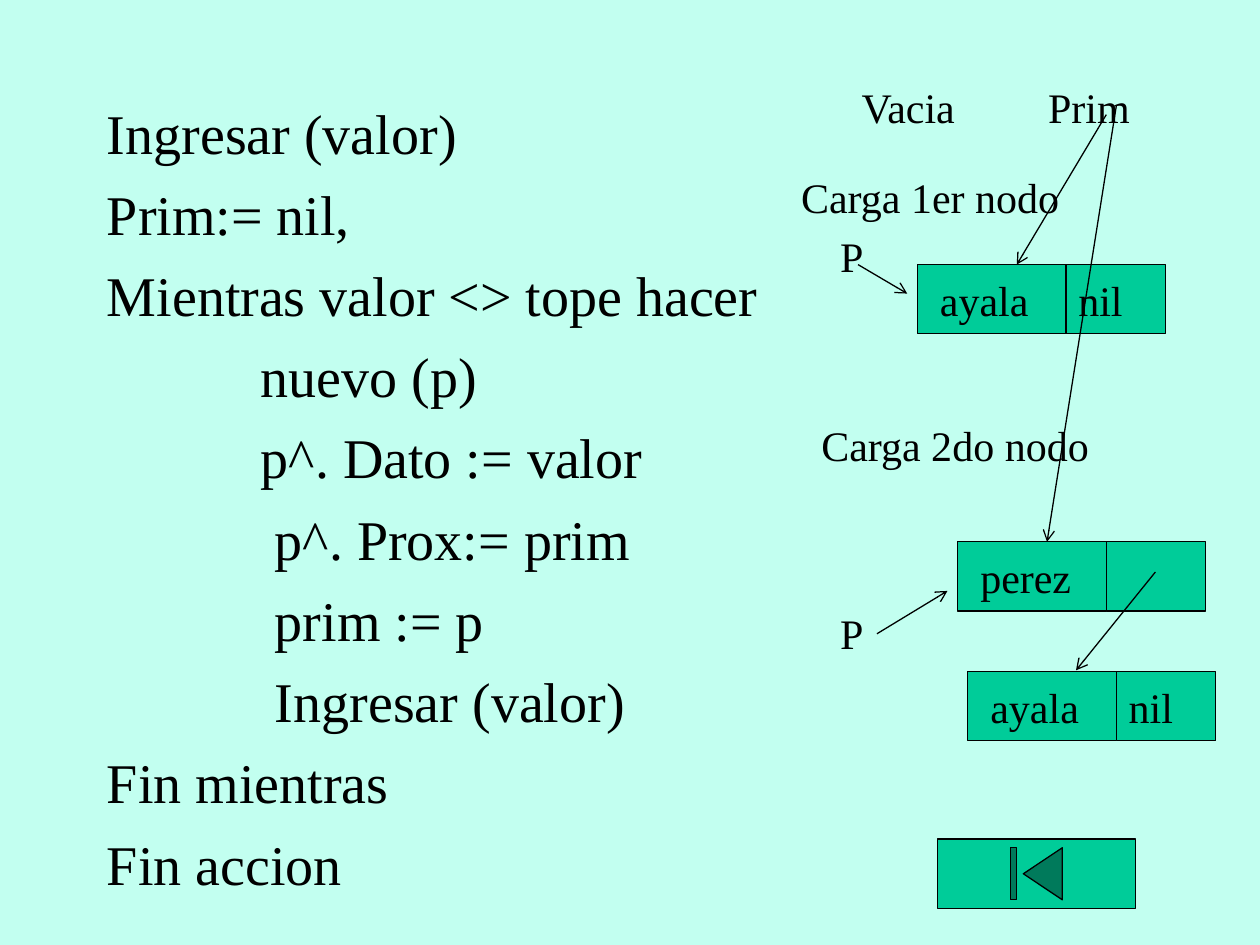
from dataclasses import dataclass

from lxml.etree import SubElement
from pptx import Presentation
from pptx.dml.color import RGBColor
from pptx.enum.shapes import MSO_CONNECTOR as Connector, MSO_SHAPE as Shape
from pptx.enum.text import MSO_ANCHOR as Anchor, PP_ALIGN as Align
from pptx.oxml.ns import qn
from pptx.util import Emu, Pt

EMU_PER_PX = 9144  # 100 px to the inch
FONT = "Times New Roman"
BLACK = RGBColor(0x00, 0x00, 0x00)
GREEN = RGBColor(0x00, 0xCC, 0x99)
MINT = RGBColor(0xC2, 0xFF, 0xF0)
CELL_HEIGHT, DATA_WIDTH, LINK_WIDTH = 55, 118, 79

CODE = [
    "Ingresar (valor)",
    "Prim:= nil,",
    "Mientras valor <> tope hacer",
    "           nuevo (p)",
    "           p^. Dato := valor",
    "            p^. Prox:= prim",
    "            prim := p",
    "            Ingresar (valor)",
    "Fin mientras",
    "Fin accion",
]


@dataclass
class Node:
    left: int
    top: int
    data: str
    link: str


@dataclass
class Label:
    left: int
    top: int
    width: int
    height: int
    text: str
    wrap: bool = False
    tab: int = 0


@dataclass
class Arrow:
    x1: int
    y1: int
    x2: int
    y2: int


NODES = [
    Node(768, 533, "ayala", "nil"),
    Node(760, 430, "perez", ""),
    Node(728, 210, "ayala", "nil"),
]
LABELS = [
    Label(642, 328, 268, 51, "Carga 2do nodo", wrap=True),
    Label(674, 60, 236, 91, "Vacia\tPrim", wrap=True, tab=148),
    Label(626, 131, 227, 51, "Carga 1er nodo"),
    Label(657, 178, 39, 50, "P"),
    Label(657, 477, 39, 50, "P"),
]
ARROWS = [
    Arrow(681, 210, 720, 233),
    Arrow(878, 91, 807, 210),
    Arrow(696, 503, 752, 469),
    Arrow(917, 454, 854, 532),
    Arrow(886, 84, 831, 430),
]


def px(value: int) -> Emu:
    return Emu(value * EMU_PER_PX)


def add_span(para, text: str, size: int) -> None:
    span = para.add_run()
    span.text = text
    span.font.name = FONT
    span.font.size = Pt(size)
    span.font.color.rgb = BLACK


def add_code(page) -> None:
    box = page.shapes.add_textbox(px(75), px(73), px(551), px(641))
    frame = box.text_frame
    frame.word_wrap = True
    for index, line in enumerate(CODE):
        para = frame.add_paragraph() if index else frame.paragraphs[0]
        if index:
            para.space_before = Pt(8)
        add_span(para, line, 32)


def add_green_shape(page, kind: Shape, left: int, top: int, width: int, height: int):
    shape = page.shapes.add_shape(kind, px(left), px(top), px(width), px(height))
    shape.shadow.inherit = False
    shape.fill.solid()
    shape.fill.fore_color.rgb = GREEN
    shape.line.color.rgb = BLACK
    shape.line.width = Pt(0.75)
    return shape


def add_cell(page, left: int, top: int, width: int, text: str, inset: int) -> None:
    cell = add_green_shape(page, Shape.RECTANGLE, left, top, width, CELL_HEIGHT)
    if text:
        frame = cell.text_frame
        frame.margin_left = px(inset)
        frame.vertical_anchor = Anchor.MIDDLE
        frame.word_wrap = False
        para = frame.paragraphs[0]
        para.alignment = Align.LEFT
        add_span(para, text, 24)


def add_node(page, node: Node) -> None:
    add_cell(page, node.left, node.top, DATA_WIDTH, node.data, 18)
    add_cell(page, node.left + DATA_WIDTH, node.top, LINK_WIDTH, node.link, 10)


def add_label(page, label: Label) -> None:
    box = page.shapes.add_textbox(
        px(label.left), px(label.top), px(label.width), px(label.height))
    box.text_frame.word_wrap = label.wrap
    para = box.text_frame.paragraphs[0]
    if label.tab:
        tabs = SubElement(para._p.get_or_add_pPr(), qn("a:tabLst"))
        SubElement(tabs, qn("a:tab"), pos=str(px(label.tab)), algn="l")
    add_span(para, label.text, 24)


def add_arrow(page, arrow: Arrow) -> None:
    line = page.shapes.add_connector(
        Connector.STRAIGHT, px(arrow.x1), px(arrow.y1), px(arrow.x2), px(arrow.y2))
    line.line.color.rgb = BLACK
    line.line.width = Pt(0.75)
    SubElement(line.line._get_or_add_ln(), qn("a:tailEnd"), type="arrow")
    SubElement(line._element.spPr, qn("a:effectLst"))


def main() -> None:
    deck = Presentation()
    deck.slide_width, deck.slide_height = px(1000), px(750)
    page = deck.slides.add_slide(deck.slide_layouts[6])
    page.background.fill.solid()
    page.background.fill.fore_color.rgb = MINT

    add_code(page)
    for node in NODES:
        add_node(page, node)
    for label in LABELS:
        add_label(page, label)
    for arrow in ARROWS:
        add_arrow(page, arrow)
    add_green_shape(page, Shape.ACTION_BUTTON_BEGINNING, 744, 666, 157, CELL_HEIGHT)

    deck.save("out.pptx")


if __name__ == "__main__":
    main()
